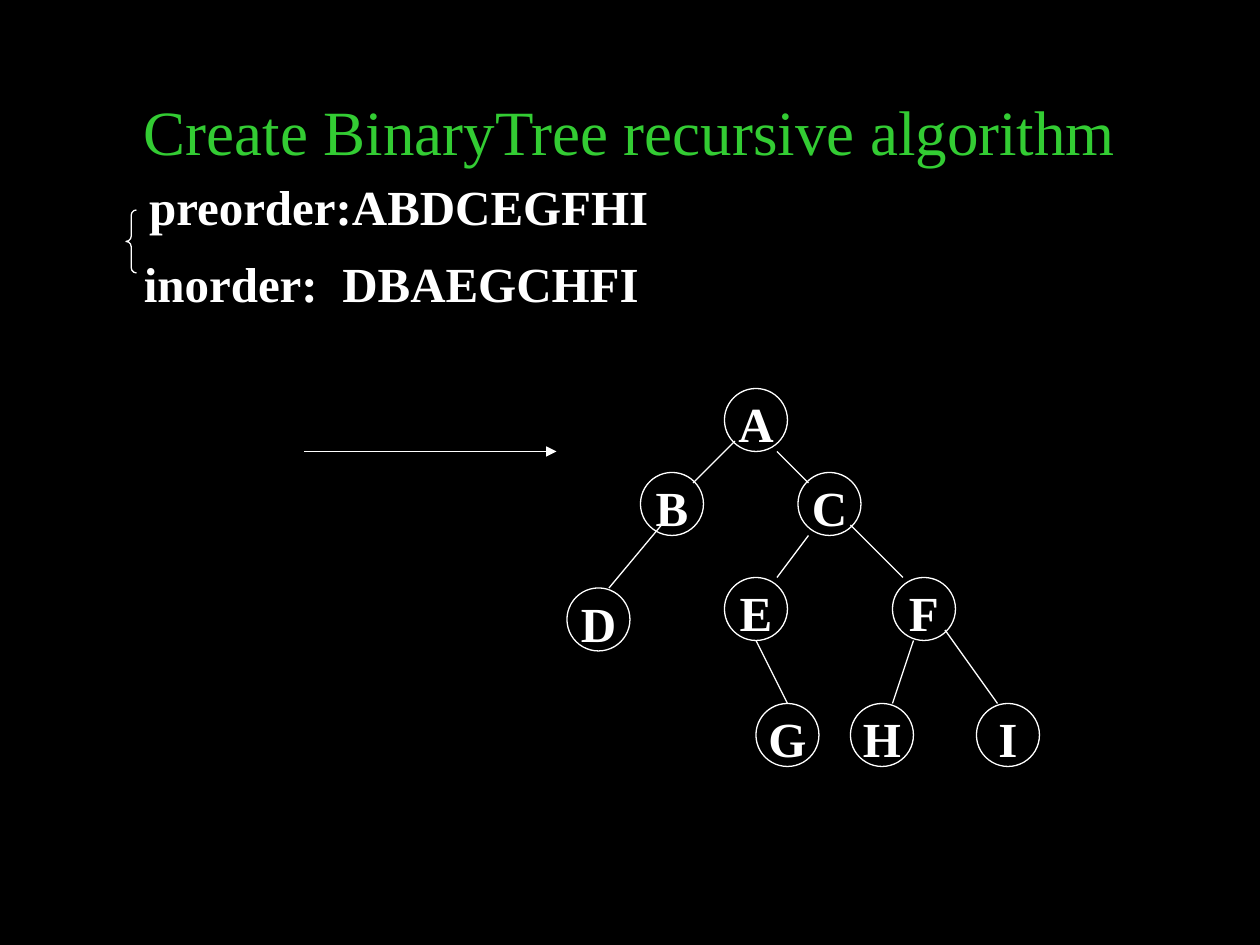
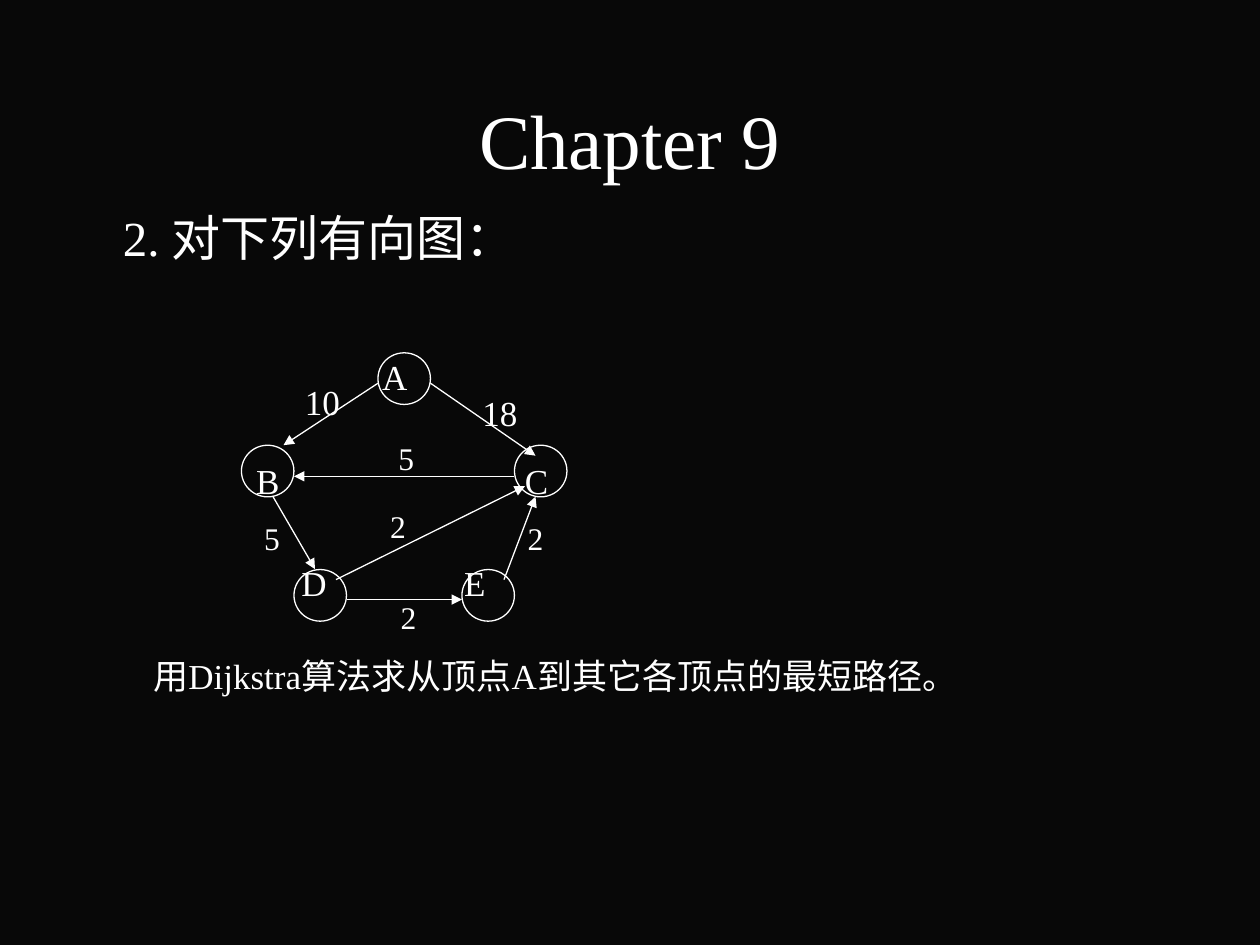
"""Build two slides: a binary tree from its traversals and a shortest-path exercise."""
from dataclasses import dataclass

from lxml import etree
from pptx import Presentation
from pptx import util as u
from pptx.dml.color import RGBColor
from pptx.enum import shapes, text
from pptx.oxml.ns import qn

WIDTH, HEIGHT = u.Inches(10), u.Inches(7.5)
COLUMN, ROW = WIDTH / 120, HEIGHT / 90
FONT = "Times New Roman"
WHITE, GREEN, BLACK, CHARCOAL = "FFFFFF", "33CC33", "000000", "080808"
HAIRLINE = u.Pt(0.75)


@dataclass(frozen=True)
class Label:
    """Text centred on a grid point."""
    wording: str
    column: float
    row: float
    size: float = 20
    colour: str = WHITE


@dataclass(frozen=True)
class Node:
    """Circle placed by its top left corner, with an optional letter inside."""
    column: float
    row: float
    letter: str = ""


@dataclass(frozen=True)
class Edge:
    """Straight line between two grid points."""
    start: tuple[float, float]
    end: tuple[float, float]


TREE_NODES = [
    Node(69, 37, "A"), Node(61, 45, "B"), Node(76, 45, "C"),
    Node(54, 56, "D"), Node(69, 55, "E"), Node(85, 55, "F"),
    Node(72, 67, "G"), Node(81, 67, "H"), Node(93, 67, "I"),
]
TREE_EDGES = [
    Edge((70, 42), (66, 46)), Edge((63, 50), (58, 56)),
    Edge((74, 43), (77, 46)), Edge((77, 51), (74, 55)),
    Edge((81, 50), (86, 55)), Edge((72, 61), (75, 67)),
    Edge((87, 61), (85, 67)), Edge((90, 60), (95, 67)),
]
RESULT_ARROW = Edge((29, 43), (53, 43))

GRAPH_NODES = [
    Node(36, 33.6), Node(23, 42.4), Node(49, 42.4), Node(28, 54.24), Node(44, 54.24),
]
GRAPH_EDGES = [
    Edge((36, 36.5), (27, 42.4)), Edge((41, 36.5), (51, 43.4)),
    Edge((49, 45.36), (28, 45.36)), Edge((32, 55.2), (50, 46.3)),
    Edge((48, 55.2), (51, 47.3)), Edge((33, 57.1), (44, 57.1)),
    Edge((26, 47.3), (30, 54.2)),
]
VERTEX_LABELS = [
    Label("A", 37.4, 35.9), Label("B", 25.4, 45.8), Label("C", 51, 45.8),
    Label("D", 29.7, 55.5), Label("E", 45.2, 55.5),
]
WEIGHT_LABELS = [
    Label("10", 30.7, 38.2), Label("18", 47.6, 39.3), Label("5", 38.7, 43.6, 18),
    Label("2", 51, 51.2, 18), Label("2", 37.9, 50.1, 18),
    Label("2", 38.9, 58.8, 18), Label("5", 25.9, 51.2, 18),
]


def rgb(colour: str) -> RGBColor:
    """Turn a hex string into a colour."""
    return RGBColor.from_string(colour)


def across(columns: float) -> int:
    """Length of a number of grid columns."""
    return u.Emu(round(columns * COLUMN))


def down(rows: float) -> int:
    """Length of a number of grid rows."""
    return u.Emu(round(rows * ROW))


def style(paragraph, size: float, colour: str = WHITE, bold: bool = False) -> None:
    """Set the font of a whole paragraph."""
    font = paragraph.font
    font.name, font.size, font.bold = FONT, u.Pt(size), bold
    font.color.rgb = rgb(colour)


def clear_margins(frame) -> None:
    """Remove the insets and keep the text unwrapped."""
    frame.margin_left = frame.margin_right = frame.margin_top = frame.margin_bottom = 0
    frame.word_wrap = False


def add_frame(slide, column: float, row: float, columns: float, rows: float):
    """Add a text box without insets and return its frame."""
    frame = slide.shapes.add_textbox(
        across(column), down(row), across(columns), down(rows)).text_frame
    clear_margins(frame)
    return frame


def add_label(slide, label: Label) -> None:
    """Write a label centred on its grid point."""
    columns, rows = label.size * 0.4 * len(label.wording) / 4, label.size / 5
    frame = add_frame(slide, label.column - columns / 2, label.row - rows / 2, columns, rows)
    frame.vertical_anchor = text.MSO_ANCHOR.MIDDLE
    paragraph = frame.paragraphs[0]
    paragraph.text = label.wording
    paragraph.alignment = text.PP_ALIGN.CENTER
    style(paragraph, label.size, label.colour)


def add_sentence(slide, wording: str, column: float, row: float, size: float) -> None:
    """Write a line of text from its top left corner."""
    paragraph = add_frame(slide, column, row, 90, size / 4).paragraphs[0]
    paragraph.text = wording
    paragraph.alignment = text.PP_ALIGN.LEFT
    style(paragraph, size)


def add_outline(slide, preset, column: float, row: float, columns: float, rows: float):
    """Add an unfilled preset shape with a thin white line."""
    outline = slide.shapes.add_shape(
        preset, across(column), down(row), across(columns), down(rows))
    outline.shadow.inherit = False
    outline.fill.background()
    outline.line.color.rgb = rgb(WHITE)
    outline.line.width = HAIRLINE
    return outline


def add_node(slide, node: Node, columns: float, rows: float) -> None:
    """Draw a node and its letter, if it has one."""
    circle = add_outline(
        slide, shapes.MSO_SHAPE.OVAL, node.column, node.row, columns, rows)
    if node.letter:
        frame = circle.text_frame
        clear_margins(frame)
        frame.margin_top = down(0.6)
        frame.vertical_anchor = text.MSO_ANCHOR.MIDDLE
        paragraph = frame.paragraphs[0]
        paragraph.text = node.letter
        paragraph.alignment = text.PP_ALIGN.CENTER
        style(paragraph, 28, bold=True)


def add_edge(slide, edge: Edge, arrow: bool = False) -> None:
    """Draw an edge, with an arrowhead at its end on request."""
    (left, top), (right, bottom) = edge.start, edge.end
    line = slide.shapes.add_connector(
        shapes.MSO_CONNECTOR.STRAIGHT, across(left), down(top), across(right), down(bottom))
    line.line.color.rgb = rgb(WHITE)
    line.line.width = HAIRLINE
    properties = line._element.spPr
    if arrow:
        etree.SubElement(properties.find(qn("a:ln")), qn("a:tailEnd"), type="triangle")
    etree.SubElement(properties, qn("a:effectLst"))


def add_traversals(slide) -> None:
    """Write the two traversals and the brace that joins them."""
    frame = add_frame(slide, 13.7, 16.8, 60, 14)
    preorder, inorder = frame.paragraphs[0], frame.add_paragraph()
    preorder.text = "preorder:ABDCEGFHI"
    inorder.text = "inorder:\tDBAEGCHFI"
    preorder._p.get_or_add_pPr().set("marL", str(across(0.5)))
    inorder.space_before = u.Pt(10.7)
    tabs = etree.SubElement(inorder._p.get_or_add_pPr(), qn("a:tabLst"))
    etree.SubElement(tabs, qn("a:tab"), pos=str(across(18.9)), algn="l")
    for traversal in (preorder, inorder):
        traversal.alignment = text.PP_ALIGN.LEFT
        style(traversal, 28, bold=True)
    brace = add_outline(slide, shapes.MSO_SHAPE.LEFT_BRACE, 12, 20, 1, 6)
    brace.adjustments[0] = 0.5


def add_slide(deck, background: str, title: Label):
    """Add a blank slide with its background and title."""
    slide = deck.slides.add_slide(deck.slide_layouts[6])
    slide.background.fill.solid()
    slide.background.fill.fore_color.rgb = rgb(background)
    add_label(slide, title)
    return slide


def build_tree_slide(deck) -> None:
    """Show the tree that the traversals describe."""
    slide = add_slide(
        deck, BLACK, Label("Create BinaryTree recursive algorithm", 60, 12.45, 36, GREEN))
    add_traversals(slide)
    for node in TREE_NODES:
        add_node(slide, node, 6, 6)
    for edge in TREE_EDGES:
        add_edge(slide, edge)
    add_edge(slide, RESULT_ARROW, arrow=True)


def build_graph_slide(deck) -> None:
    """Show the weighted directed graph and its question."""
    slide = add_slide(deck, CHARCOAL, Label("Chapter 9", 60, 13.2, 44))
    add_sentence(slide, "2. 对下列有向图：", 11.7, 19.8, 28)
    for node in GRAPH_NODES:
        add_node(slide, node, 5, 4.92)
    for edge in GRAPH_EDGES:
        add_edge(slide, edge, arrow=True)
    for label in VERTEX_LABELS + WEIGHT_LABELS:
        add_label(slide, label)
    add_sentence(slide, "用Dijkstra算法求从顶点A到其它各顶点的最短路径。", 14.6, 62.3, 20)


def main() -> None:
    """Build and save the deck."""
    deck = Presentation()
    deck.slide_width, deck.slide_height = WIDTH, HEIGHT
    build_tree_slide(deck)
    build_graph_slide(deck)
    deck.save("out.pptx")


if __name__ == "__main__":
    main()
